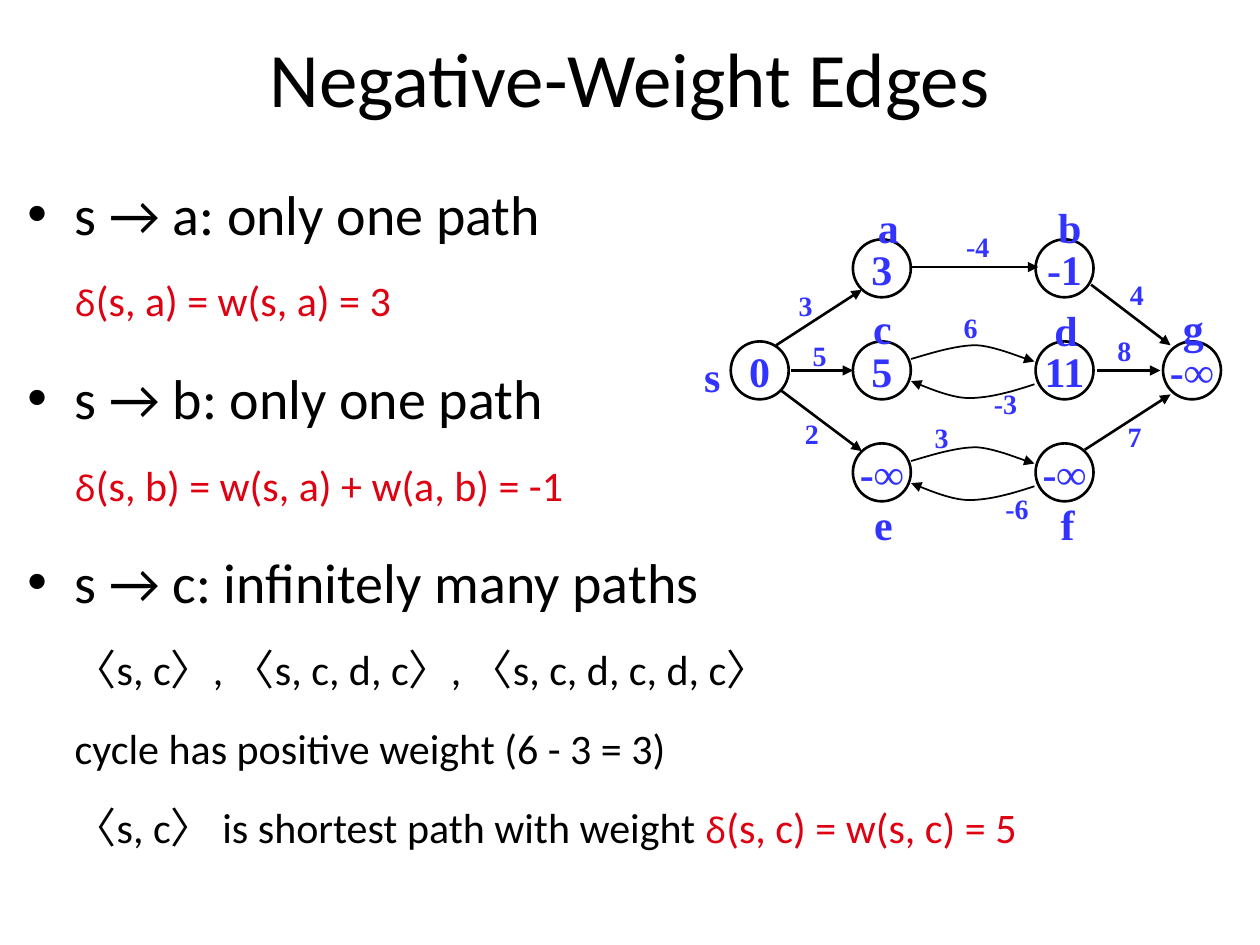
from pptx import Presentation
from pptx.dml.color import RGBColor
from pptx.enum.shapes import MSO_CONNECTOR, MSO_SHAPE
from pptx.enum.text import MSO_ANCHOR, MSO_AUTO_SIZE, PP_ALIGN
from pptx.oxml.ns import qn
from pptx.util import Pt
from lxml import etree

STRAIGHT = MSO_CONNECTOR.STRAIGHT
OVAL = MSO_SHAPE.OVAL
MIDDLE = MSO_ANCHOR.MIDDLE
GROW = MSO_AUTO_SIZE.SHAPE_TO_FIT_TEXT
LEFT, CENTER = PP_ALIGN.LEFT, PP_ALIGN.CENTER

COLORS = {"black": "000000", "red": "DD0111", "blue": "3333FF"}
SANS, GREEK, SERIF = "Calibri", "Comic Neue", "Times New Roman"

# Graph grid: node columns and rows (left and top edges)
NODE_SIZE = 33.1
COLUMNS = (417.6, 487.4, 591.8, 664.6)
TOP_ROW, ROW_GAP = 136.8, 58.3
NODES = [  # column, row, distance
    (0, 1, "0"), (1, 0, "3"), (2, 0, "-1"), (1, 1, "5"),
    (2, 1, "11"), (3, 1, "-∞"), (1, 2, "-∞"), (2, 2, "-∞"),
]
NODE_NAMES = [  # name, left, top, width
    ("s", 395.3, 196.6, 23.8), ("a", 494.6, 111.6, 24.5),
    ("b", 597.6, 111.6, 24.5), ("c", 491.8, 169.2, 23.8),
    ("d", 595.4, 170.6, 24.5), ("g", 668.9, 169.2, 24.5),
    ("e", 492.5, 281.5, 24.5), ("f", 599, 281.5, 19.4),
]
WEIGHTS = [  # weight, left, top
    ("3", 449.3, 161.3), ("-4", 545, 127.4), ("2", 452.9, 234.7),
    ("8", 631.4, 187.2), ("-6", 567.4, 277.2), ("-3", 560.9, 217.4),
    ("3", 527, 236.9), ("5", 457.2, 190.1), ("6", 543.6, 174.2),
    ("4", 638.6, 154.8), ("7", 637.2, 236.2),
]
STRAIGHT_EDGES = [  # start x, start y, end x, end y
    (520.6, 152.6, 593.3, 152.6), (443.5, 197.3, 492.5, 165.6),
    (446.4, 223.2, 492.5, 257.8), (623.5, 162.7, 668.9, 197.3),
    (619.9, 257, 668.9, 225.4), (452.2, 211.7, 487.4, 211.7),
    (627.1, 211.7, 663.1, 211.7),
]
CURVES = [  # Bezier control points of the middle-row cycle
    [(520.6, 205.2), (532.8, 201.6), (546.5, 197.3), (558, 197.3),
     (569.5, 198), (585.4, 205.2), (591.1, 206.6)],
    [(591.1, 219.6), (578.2, 223.9), (565.2, 227.5), (553.7, 227.5),
     (542.2, 227.5), (525.6, 219.6), (520.6, 217.8)],
]
CURVE_STEPS = 12


def rgb(name):
    return RGBColor.from_string(COLORS[name])


def add_text(paragraph, text, *, size, font=SANS, color="black", bold=False):
    run = paragraph.add_run()
    run.text = text
    run.font.size = Pt(size)
    run.font.name = font
    run.font.bold = bold
    run.font.color.rgb = rgb(color)


def space_before_percent(paragraph, percent):
    paragraph.space_before = Pt(0)
    spacing = paragraph._p.pPr.find(qn("a:spcBef"))
    spacing.remove(spacing[0])
    etree.SubElement(spacing, qn("a:spcPct"), val=str(percent * 1000))


def add_box(slide, left, top, width, height):
    box = slide.shapes.add_textbox(Pt(left), Pt(top), Pt(width), Pt(height))
    box.text_frame.word_wrap = True
    return box.text_frame


def indent(paragraph, bullet):
    properties = paragraph._p.get_or_add_pPr()
    properties.set("marL", str(Pt(27)))
    properties.set("indent", str(Pt(-27 if bullet else 0)))
    if bullet:
        etree.SubElement(properties, qn("a:buFont"), typeface="Arial")
        etree.SubElement(properties, qn("a:buChar"), char="•")


def add_body_line(frame, text="", formula="", bullet=False):
    first = not frame.paragraphs[0].runs
    paragraph = frame.paragraphs[0] if first else frame.add_paragraph()
    paragraph.line_spacing = 1.4
    space_before_percent(paragraph, 20)
    indent(paragraph, bullet)
    if text:
        add_text(paragraph, text, size=32 if bullet else 24)
    if formula:
        add_text(paragraph, "δ", size=20, font=GREEK, color="red")
        add_text(paragraph, formula, size=24, color="red")


def add_graph_text(frame, text, size, align=LEFT):
    frame.word_wrap = False
    paragraph = frame.paragraphs[0]
    paragraph.alignment = align
    space_before_percent(paragraph, 50)
    add_text(paragraph, text, size=size, font=SERIF, color="blue", bold=True)


def add_label(slide, text, left, top, width, height, size):
    frame = add_box(slide, left, top, width, height)
    add_graph_text(frame, text, size)
    frame.auto_size = GROW


def style_line(shape, width, arrow=False):
    shape.line.color.rgb = rgb("black")
    shape.line.width = Pt(width)
    if arrow:
        line = shape._element.spPr.find(qn("a:ln"))
        etree.SubElement(line, qn("a:tailEnd"), type="triangle")


def add_node(slide, column, row, distance):
    node = slide.shapes.add_shape(
        OVAL, Pt(COLUMNS[column]), Pt(TOP_ROW + row * ROW_GAP),
        Pt(NODE_SIZE), Pt(NODE_SIZE))
    node.shadow.inherit = False
    node.fill.background()
    style_line(node, 1.5)
    node.text_frame.vertical_anchor = MIDDLE
    add_graph_text(node.text_frame, distance, 24, CENTER)


def add_straight_edge(slide, *ends):
    edge = slide.shapes.add_connector(STRAIGHT, *map(Pt, ends))
    style_line(edge, 1.5, arrow=True)
    etree.SubElement(edge._element.spPr, qn("a:effectLst"))


def bezier_point(controls, t):
    factors = ((1 - t) ** 3, 3 * t * (1 - t) ** 2, 3 * t * t * (1 - t), t ** 3)
    return tuple(sum(f * point[axis] for f, point in zip(factors, controls))
                 for axis in (0, 1))


def add_curved_edge(slide, controls, drop):
    points = [controls[0]]
    for start in range(0, len(controls) - 1, 3):
        segment = controls[start:start + 4]
        points += [bezier_point(segment, step / CURVE_STEPS)
                   for step in range(1, CURVE_STEPS + 1)]
    points = [(Pt(x), Pt(y + drop)) for x, y in points]
    builder = slide.shapes.build_freeform(*points[0])
    builder.add_line_segments(points[1:], close=False)
    edge = builder.convert_to_shape()
    edge.shadow.inherit = False
    edge.fill.background()
    style_line(edge, 1, arrow=True)


def add_title(slide):
    frame = add_box(slide, 36, -1.4, 648, 90)
    frame.vertical_anchor = MIDDLE
    frame.paragraphs[0].alignment = CENTER
    add_text(frame.paragraphs[0], "Negative-Weight Edges", size=44)


def add_body(slide):
    frame = add_box(slide, 8.6, 83.5, 725.8, 430.6)
    add_body_line(frame, "s → a: only one path", bullet=True)
    add_body_line(frame, formula="(s, a) = w(s, a) = 3")
    add_body_line(frame, "s → b: only one path", bullet=True)
    add_body_line(frame, formula="(s, b) = w(s, a) + w(a, b) = -1")
    add_body_line(frame, "s → c: infinitely many paths", bullet=True)
    add_body_line(frame, "〈s, c〉, 〈s, c, d, c〉, 〈s, c, d, c, d, c〉")
    add_body_line(frame, "cycle has positive weight (6 - 3 = 3)")
    add_body_line(frame, "〈s, c〉 is shortest path with weight ",
                  "(s, c) = w(s, c) = 5")


def add_graph(slide):
    for node in NODES:
        add_node(slide, *node)
    for edge in STRAIGHT_EDGES:
        add_straight_edge(slide, *edge)
    # The same cycle appears in the middle and bottom rows
    for drop in (0, ROW_GAP):
        for controls in CURVES:
            add_curved_edge(slide, controls, drop)
    for text, left, top in WEIGHTS:
        add_label(slide, text, left, top, 23 if len(text) == 1 else 28.8, 26.6, 16)
    for text, left, top, width in NODE_NAMES:
        add_label(slide, text, left, top, width, 28.8, 24)


def main():
    presentation = Presentation()
    presentation.slide_width, presentation.slide_height = Pt(720), Pt(540)
    slide = presentation.slides.add_slide(presentation.slide_layouts[6])
    add_title(slide)
    add_body(slide)
    add_graph(slide)
    presentation.save("out.pptx")


if __name__ == "__main__":
    main()
